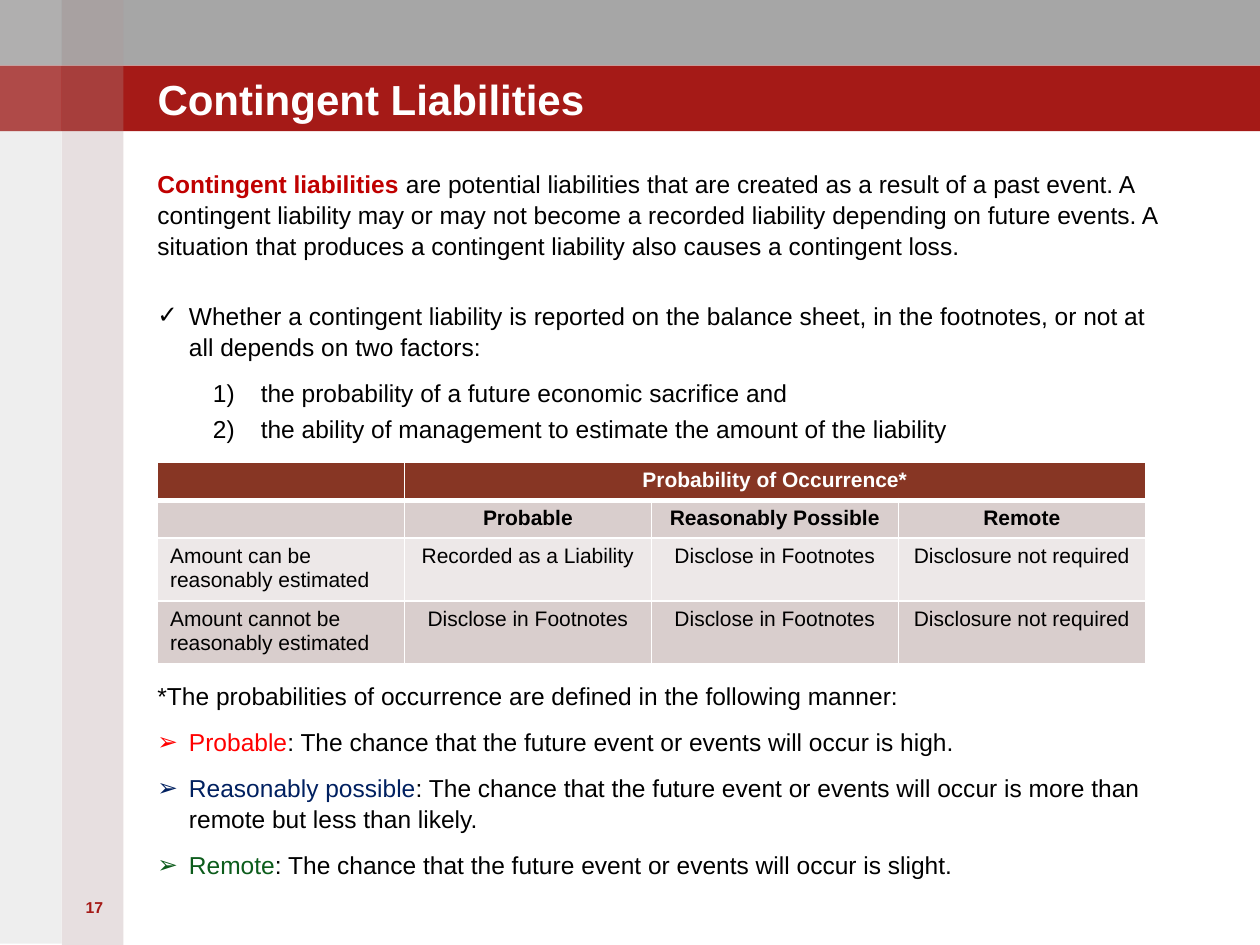
"""Build the slide on contingent liabilities."""
from dataclasses import dataclass, field
from typing import Any

from lxml.etree import SubElement
from pptx import Presentation
from pptx.dml.color import RGBColor
from pptx.enum.shapes import MSO_SHAPE
from pptx.enum.text import MSO_ANCHOR, PP_ALIGN
from pptx.oxml.ns import qn
from pptx.util import Inches, Pt

RED = RGBColor(0xA5, 0x1A, 0x17)
GREY = RGBColor(0xA6, 0xA6, 0xA6)
ROSE = RGBColor(0xA0, 0x82, 0x84)
STONE = RGBColor(0x93, 0x8F, 0x8F)
WHITE = RGBColor(0xFF, 0xFF, 0xFF)
BLACK = RGBColor(0, 0, 0)
TERM = RGBColor(0xC0, 0, 0)
BRIGHT = RGBColor(0xFF, 0, 0)
NAVY = RGBColor(0, 0x20, 0x60)
GREEN = RGBColor(0x0C, 0x5C, 0x1B)
BROWN = RGBColor(0x87, 0x36, 0x24)
DARK = RGBColor(0xD9, 0xCE, 0xCD)
LIGHT = RGBColor(0xED, 0xE8, 0xE8)
BAND = 0.49
BAR = 0.52
LEFT = 1.25


@dataclass
class Block:
    left: float
    top: float
    width: float
    height: float
    color: RGBColor
    alpha: int = 100


@dataclass
class Run:
    text: str
    color: RGBColor = BLACK
    bold: bool = False
    size: float = 14


@dataclass
class Para:
    runs: list[Run]
    form: dict[str, Any] = field(default_factory=dict)
    mark: str = ""
    left: float = 0.25
    hang: float = 0.25


def apply(item: Any, form: dict[str, Any]) -> None:
    for name, value in form.items():
        setattr(item, name, value)


def draw_block(slide: Any, block: Block) -> None:
    size = [Inches(n) for n in (block.left, block.top, block.width, block.height)]
    shape = slide.shapes.add_shape(MSO_SHAPE.RECTANGLE, *size)
    shape.shadow.inherit = False
    shape.line.fill.background()
    shape.fill.solid()
    shape.fill.fore_color.rgb = block.color
    if block.alpha < 100:
        color = shape.element.spPr.find(qn("a:solidFill"))[0]
        SubElement(color, qn("a:alpha"), val=str(block.alpha * 1000))


def add_run(line: Any, run: Run) -> None:
    part = line.add_run()
    part.text = run.text
    apply(part.font, {"name": "Arial", "size": Pt(run.size), "bold": run.bold})
    part.font.color.rgb = run.color


def fill_para(line: Any, para: Para) -> None:
    apply(line, para.form)
    for run in para.runs:
        add_run(line, run)
    if para.mark:
        props = line._p.get_or_add_pPr()
        props.set("marL", str(Inches(para.left)))
        props.set("indent", str(-Inches(para.hang)))
        SubElement(props, qn("a:buFont"), typeface="Arial")
        if para.mark == "1)":
            SubElement(props, qn("a:buAutoNum"), type="arabicParenR")
        else:
            SubElement(props, qn("a:buChar"), char=para.mark)


def draw_text(slide: Any, at: tuple, paras: list[Para], form: dict[str, Any]) -> None:
    frame = slide.shapes.add_textbox(*[Inches(n) for n in at]).text_frame
    apply(frame, {"word_wrap": True, **form})
    for i, para in enumerate(paras):
        fill_para(frame.add_paragraph() if i else frame.paragraphs[0], para)


def edge_cell(cell: Any, base: float) -> None:
    props = cell._tc.get_or_add_tcPr()
    for i, side in enumerate(("lnL", "lnR", "lnT", "lnB")):
        width = base if side == "lnB" else 1
        line = SubElement(props, qn(f"a:{side}"), w=str(Pt(width)))
        fill = SubElement(line, qn("a:solidFill"))
        SubElement(fill, qn("a:srgbClr"), val=str(WHITE))
        props.insert(i, line)


def draw_table(slide: Any, rows: list[list[str]]) -> None:
    highs = (0.29, 0.29, 0.47, 0.47)
    wide = 1.96
    size = [Inches(n) for n in (LEFT, 3.67, wide * 4, sum(highs))]
    table = slide.shapes.add_table(4, 4, *size).table
    for col in table.columns:
        col.width = Inches(wide)
    fills = (BROWN, DARK, LIGHT, DARK)
    for r, (row, high, fill) in enumerate(zip(rows, highs, fills)):
        table.rows[r].height = Inches(high)
        for c, text in enumerate(row):
            cell = table.cell(r, c)
            cell.fill.solid()
            cell.fill.fore_color.rgb = fill
            edge_cell(cell, 1 if r else 3)
            line = cell.text_frame.paragraphs[0]
            line.alignment = PP_ALIGN.CENTER if c else PP_ALIGN.LEFT
            line.font.size = Pt(12)
            if text:
                add_run(line, Run(text, BLACK if r else WHITE, r < 2, 12))
    table.cell(0, 1).merge(table.cell(0, 3))


def main() -> None:
    deck = Presentation()
    apply(deck, {"slide_width": Inches(10), "slide_height": Inches(7.5)})
    slide = deck.slides.add_slide(deck.slide_layouts[6])

    blocks = [
        Block(0, 0, 10, BAR, GREY),
        Block(0, BAR, 10, BAR, RED),
        Block(BAND, 0, BAND, 7.5, ROSE, 25),
        Block(0, 0, BAND, 7.49, STONE, 15),
    ]
    blocks += [
        Block(left, top, BAND, BAR, WHITE, alpha)
        for top in (0, BAR)
        for left, alpha in ((BAND, 5), (0, 15))
    ]
    for block in blocks:
        draw_block(slide, block)

    flush = {f"margin_{side}": 0 for side in ("left", "top", "right", "bottom")}
    page = Para([Run("17", RED, True, 9)], {"alignment": PP_ALIGN.CENTER})
    draw_text(slide, (0.5, 7.08, 0.5, 0.56), [page], {})
    title = Para([Run("Contingent Liabilities", WHITE, True, 24)])
    draw_text(slide, (LEFT, 0.31, 8.25, 0.67), [title],
              {**flush, "vertical_anchor": MSO_ANCHOR.BOTTOM})

    first = {"line_spacing": 1.05, "space_before": Pt(0)}
    tight = {**first, "space_before": Pt(2.8)}
    loose = {**tight, "space_after": Pt(6)}
    intro = [
        Para([Run("Contingent liabilities ", TERM, True),
              Run("are potential liabilities that are created as a result of a past event. "
                  "A contingent liability may or may not become a recorded liability "
                  "depending on future events. A situation that produces a contingent "
                  "liability also causes a contingent loss.")], first),
        Para([Run("Whether a contingent liability is reported on the balance sheet, in the "
                  "footnotes, or not at all depends on two factors:")],
             {**loose, "space_before": Pt(22.4)}, "✓"),
    ]
    intro += [
        Para([Run(text)], tight, "1)", 0.82, 0.38)
        for text in ("the probability of a future economic sacrifice and",
                     "the ability of management to estimate the amount of the liability")
    ]
    draw_text(slide, (LEFT, 1.33, 8, 2.2), intro, flush)

    draw_table(slide, [
        ["", "Probability of Occurrence*", "", ""],
        ["", "Probable", "Reasonably Possible", "Remote"],
        ["Amount can be reasonably estimated", "Recorded as a Liability",
         "Disclose in Footnotes", "Disclosure not required"],
        ["Amount cannot be reasonably estimated", "Disclose in Footnotes",
         "Disclose in Footnotes", "Disclosure not required"],
    ])

    lead = "*The probabilities of occurrence are defined in the following manner:"
    notes = [Para([Run(lead)], {**first, "space_after": Pt(6)})]
    chance = ": The chance that the future event or events will occur is "
    notes += [
        Para([Run(term, color), Run(chance + end)], loose, "➢")
        for term, color, end in (
            ("Probable", BRIGHT, "high."),
            ("Reasonably possible", NAVY, "more than remote but less than likely."),
            ("Remote", GREEN, "slight."))
    ]
    draw_text(slide, (LEFT, 5.39, 8, 1.52), notes, flush)
    deck.save("out.pptx")


if __name__ == "__main__":
    main()
